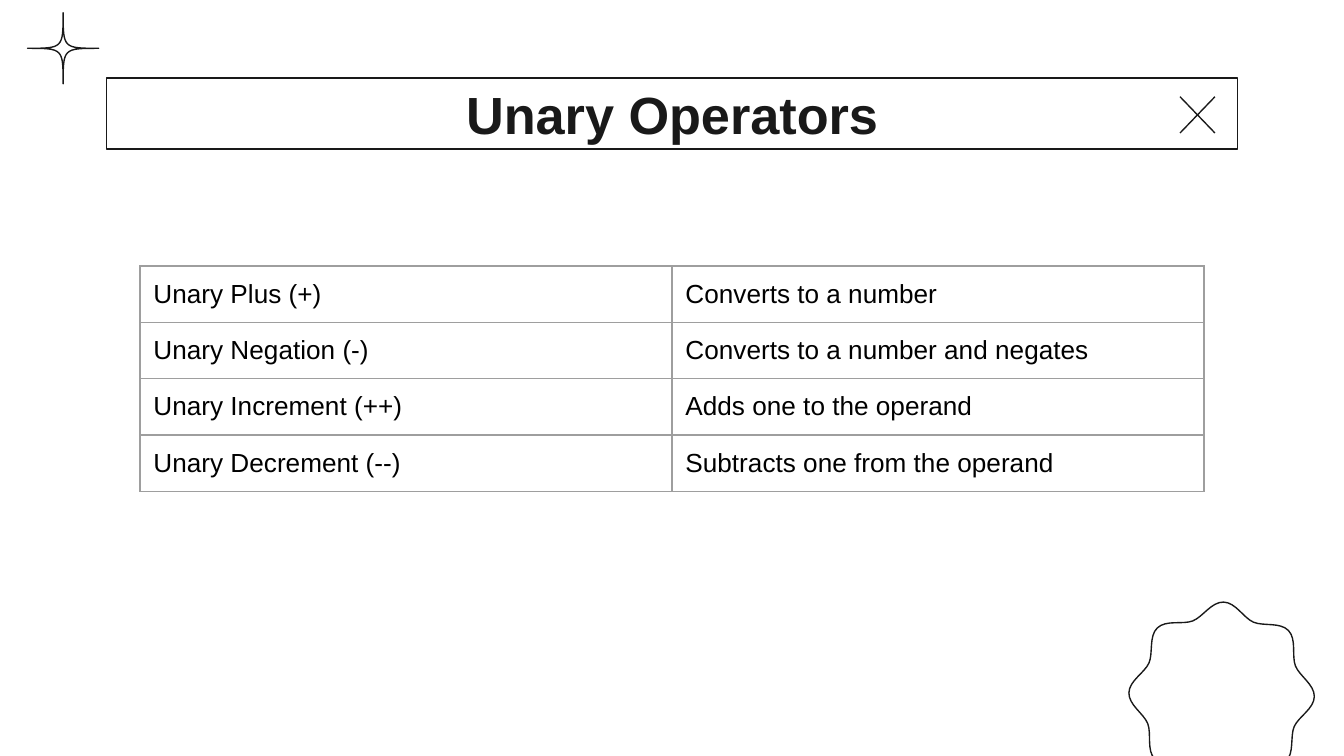
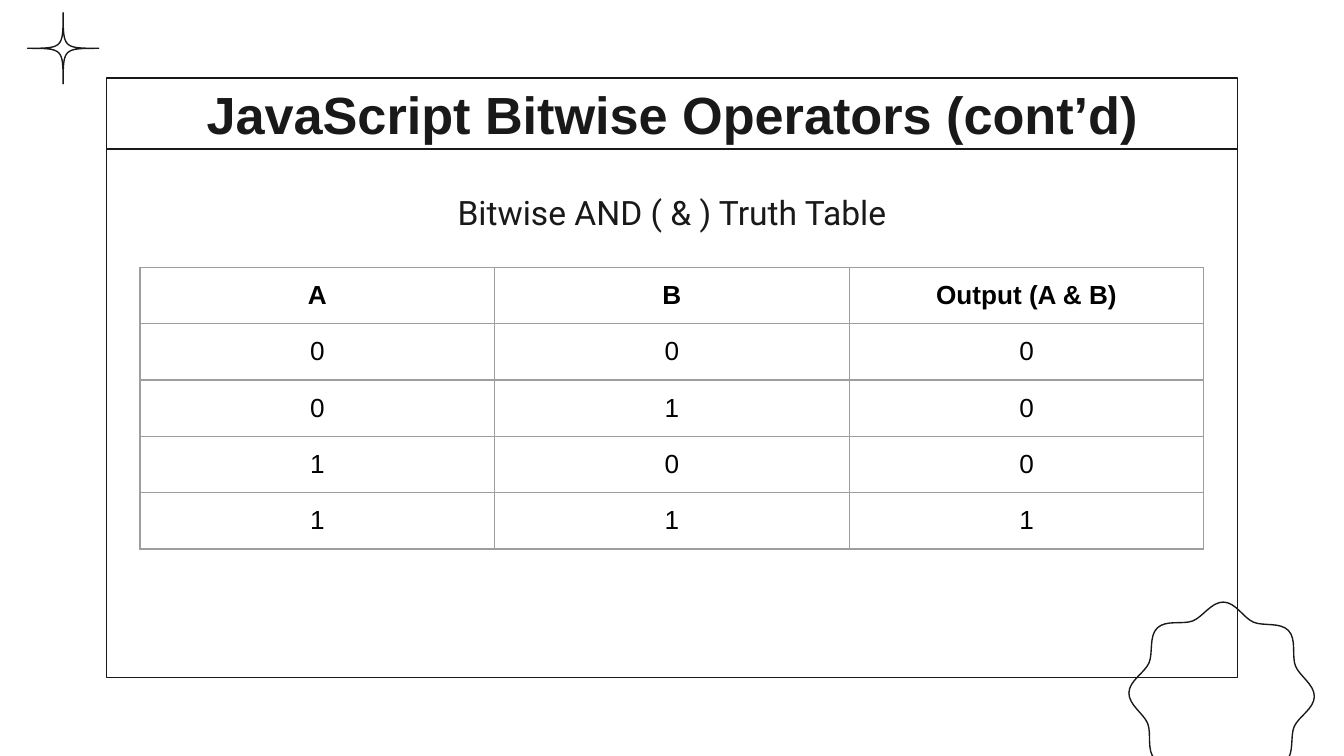
from dataclasses import dataclass
from math import cos, pi, sin

from lxml import etree
from pptx import Presentation
from pptx.dml.color import RGBColor
from pptx.enum.shapes import MSO_CONNECTOR, MSO_SHAPE
from pptx.enum.text import MSO_ANCHOR, PP_ALIGN
from pptx.oxml.ns import qn
from pptx.util import Inches, Pt


@dataclass(frozen=True)
class Theme:
    ink: RGBColor = RGBColor(0x19, 0x19, 0x19)
    cell_ink: RGBColor = RGBColor(0, 0, 0)
    grid: str = "9E9E9E"
    paper: RGBColor = RGBColor(0xFF, 0xFF, 0xFF)
    font: str = "Arial"
    caption_font: str = "Roboto"
    title_size: int = 28
    caption_size: int = 18
    cell_size: int = 14
    line: float = 0.75


theme = Theme()

SLIDE_WIDTH = 10
FRAME_WIDTH = 8.42
FRAME_LEFT = (SLIDE_WIDTH - FRAME_WIDTH) / 2
TITLE_TOP, TITLE_HEIGHT = 0.58, 0.53
PANEL_TOP = TITLE_TOP + TITLE_HEIGHT
TABLE_WIDTH, ROW_HEIGHT = 95 / 12, 5 / 12
TABLE_LEFT = (SLIDE_WIDTH - TABLE_WIDTH) / 2
MARGIN = Inches(0.1)

# Wavy badge: eight crests and eight hollows, each with a handle on either side
badge = []
for step in range(17):
    turn = 0.02 + step * pi / 8
    radius, reach = (0.59, 0.08) if step % 2 else (0.69, 0.09)
    x, y = 9.09 + radius * sin(turn), 5.17 - radius * cos(turn)
    dx, dy = reach * cos(turn), reach * sin(turn)
    badge.append(((x - dx, y - dy), (x, y), (x + dx, y + dy)))

# Sparkle: four tips whose handles all lie at the centre
centre = (0.47, 0.36)
sparkle = [(centre, (centre[0] + 0.53 / 2 * x, centre[1] + 0.53 / 2 * y), centre)
           for x, y in ((0, 1), (-1, 0), (0, -1), (1, 0), (0, 1))]

slides = [
    dict(title="Unary Operators", caption=None, header=False, table_top=1.98,
         align=PP_ALIGN.LEFT,
         rows=[("Unary Plus (+)", "Converts to a number"),
               ("Unary Negation (-)", "Converts to a number and negates"),
               ("Unary Increment (++)", "Adds one to the operand"),
               ("Unary Decrement (--)", "Subtracts one from the operand")]),
    dict(title="JavaScript Bitwise Operators (cont’d)",
         caption="Bitwise AND ( & ) Truth Table", header=True, table_top=1.99,
         align=PP_ALIGN.CENTER,
         rows=[("A", "B", "Output (A & B)")]
         + [(str(a), str(b), str(a & b)) for a in (0, 1) for b in (0, 1)]),
]


def write(frame, text, size, font=theme.font, color=theme.ink, bold=False,
          align=PP_ALIGN.CENTER):
    paragraph = frame.paragraphs[0]
    paragraph.alignment = align
    run = paragraph.add_run()
    run.text = text
    run.font.size = Pt(size)
    run.font.name = font
    run.font.bold = bold
    run.font.color.rgb = color


def outline(shape):
    shape.line.color.rgb = theme.ink
    shape.line.width = Pt(theme.line)
    if hasattr(shape, "fill"):
        shape.fill.background()
        shape.shadow.inherit = False
    else:
        etree.SubElement(shape.element.spPr, qn("a:effectLst"))


prs = Presentation()
prs.slide_width, prs.slide_height = Inches(SLIDE_WIDTH), Inches(SLIDE_WIDTH * 9 / 16)

for content in slides:
    slide = prs.slides.add_slide(prs.slide_layouts[6])
    slide.background.fill.solid()
    slide.background.fill.fore_color.rgb = theme.paper

    # Corner ornaments: join the knots, then bend each side into a curve
    for knots in (badge, sparkle):
        corners = [(Inches(x), Inches(y)) for _, (x, y), _ in knots]
        builder = slide.shapes.build_freeform(*corners[0], scale=1.0)
        builder.add_line_segments(corners[1:], close=True)
        ornament = builder.convert_to_shape()
        outline(ornament)
        sides = list(ornament.element.iter(qn("a:lnTo")))
        for side, start, end in zip(sides, knots, knots[1:]):
            side.tag = qn("a:cubicBezTo")
            for position, (x, y) in enumerate((start[2], end[0])):
                handle = etree.Element(qn("a:pt"),
                                       x=str(Inches(x) - ornament.left),
                                       y=str(Inches(y) - ornament.top))
                side.insert(position, handle)

    # Title bar
    title = slide.shapes.add_shape(
        MSO_SHAPE.RECTANGLE, Inches(FRAME_LEFT), Inches(TITLE_TOP),
        Inches(FRAME_WIDTH), Inches(TITLE_HEIGHT))
    outline(title)
    frame = title.text_frame
    frame.margin_left = frame.margin_right = MARGIN
    frame.margin_top = frame.margin_bottom = MARGIN
    frame.vertical_anchor = MSO_ANCHOR.MIDDLE
    write(frame, content["title"], theme.title_size, bold=True)

    if content["caption"]:
        # Framed panel with a caption above the table
        panel = slide.shapes.add_shape(
            MSO_SHAPE.RECTANGLE, Inches(FRAME_LEFT), Inches(PANEL_TOP),
            Inches(FRAME_WIDTH), Inches(3.93))
        outline(panel)
        panel.text_frame.margin_top = Inches(0.32)
        panel.text_frame.vertical_anchor = MSO_ANCHOR.TOP
        write(panel.text_frame, content["caption"], theme.caption_size,
              font=theme.caption_font)
    else:
        # Close cross in the title bar
        cross = slide.shapes.add_group_shape()
        for start, end in ((0.72, 0.99), (0.99, 0.72)):
            outline(cross.shapes.add_connector(
                MSO_CONNECTOR.STRAIGHT, Inches(8.78), Inches(start),
                Inches(9.04), Inches(end)))

    # Operator table
    rows = content["rows"]
    table = slide.shapes.add_table(
        len(rows), len(rows[0]), Inches(TABLE_LEFT),
        Inches(content["table_top"]), Inches(TABLE_WIDTH),
        Inches(ROW_HEIGHT * len(rows))).table
    table.first_row = content["header"]
    table.horz_banding = False
    for r, row in enumerate(rows):
        for c, text in enumerate(row):
            cell = table.cell(r, c)
            cell.margin_left = cell.margin_right = MARGIN
            cell.margin_top = cell.margin_bottom = MARGIN
            cell.fill.background()
            write(cell.text_frame, text, theme.cell_size,
                  color=theme.cell_ink, align=content["align"],
                  bold=content["header"] and r == 0)
            properties = cell._tc.get_or_add_tcPr()
            for position, side in enumerate(("lnL", "lnR", "lnT", "lnB")):
                border = etree.Element(qn(f"a:{side}"), w=str(Pt(theme.line)))
                fill = etree.SubElement(border, qn("a:solidFill"))
                etree.SubElement(fill, qn("a:srgbClr"), val=theme.grid)
                properties.insert(position, border)

prs.save("out.pptx")
